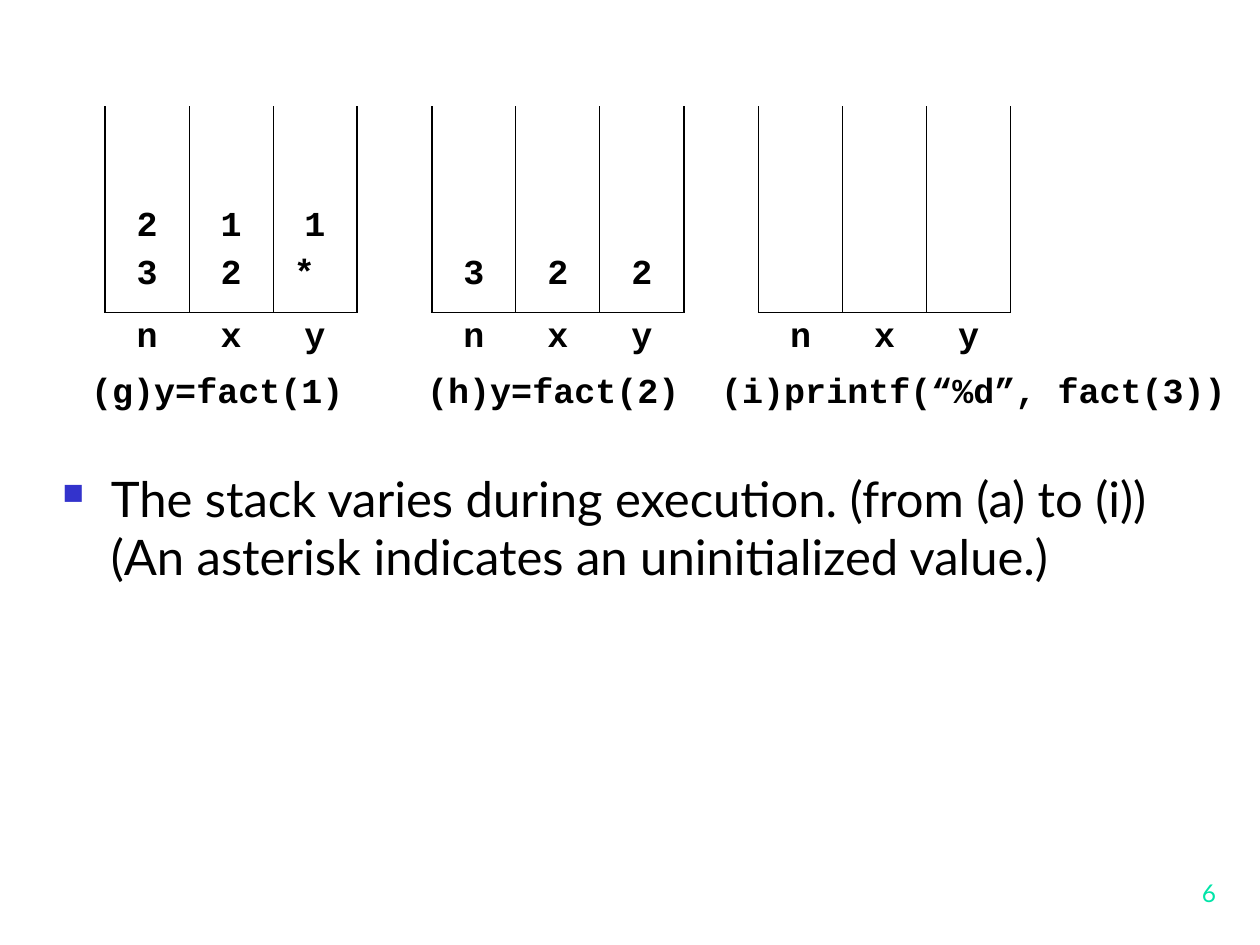
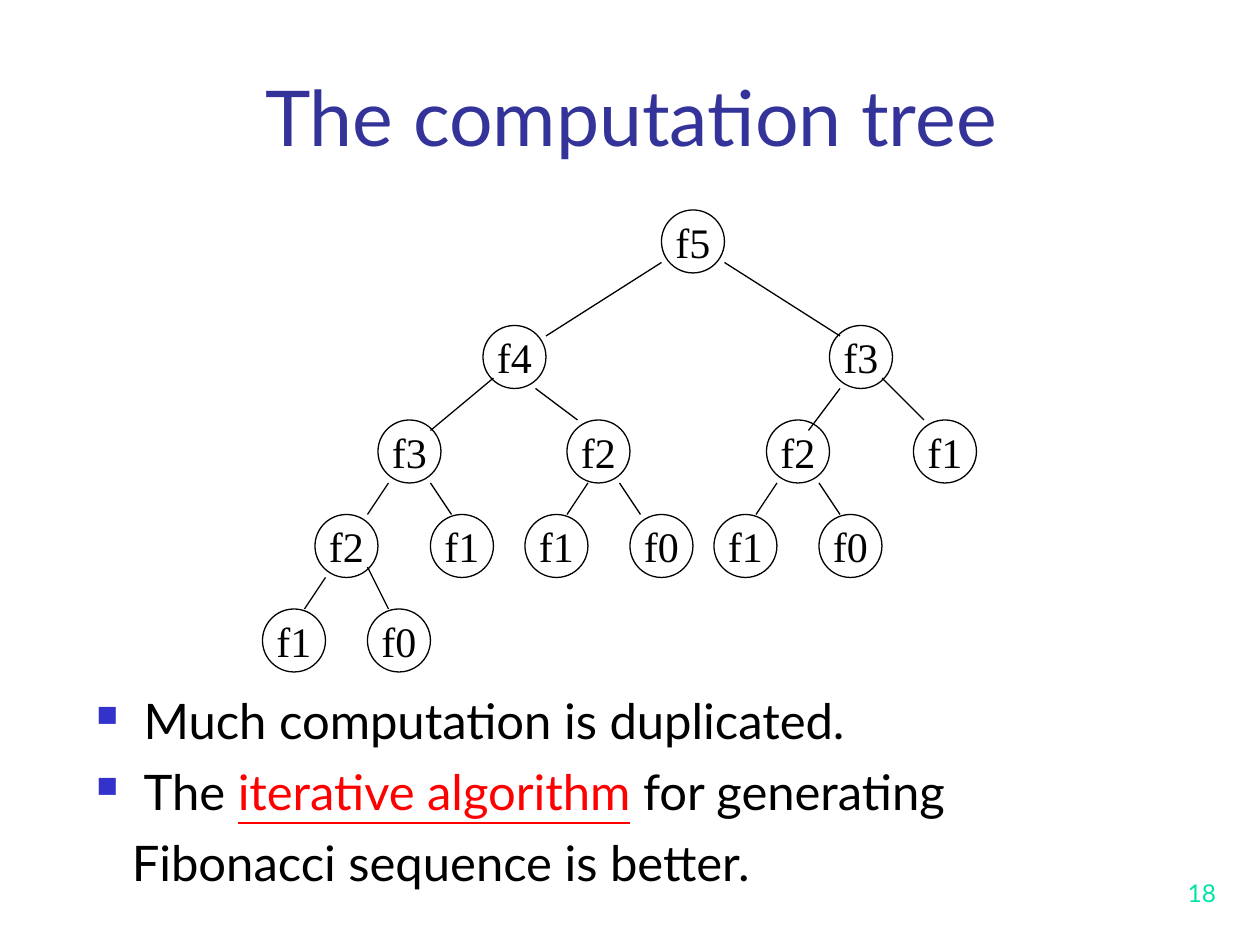
from dataclasses import dataclass

from lxml import etree
from pptx import Presentation
from pptx.dml.color import RGBColor
from pptx.enum.shapes import MSO_CONNECTOR, MSO_SHAPE
from pptx.enum.text import MSO_ANCHOR, PP_ALIGN
from pptx.oxml.ns import qn
from pptx.util import Emu, Pt

PX = 9525
LINE = MSO_CONNECTOR.STRAIGHT
ELLIPSE = MSO_SHAPE.OVAL
TOP, MIDDLE, BOTTOM = MSO_ANCHOR.TOP, MSO_ANCHOR.MIDDLE, MSO_ANCHOR.BOTTOM
LEFT, CENTER, RIGHT = PP_ALIGN.LEFT, PP_ALIGN.CENTER, PP_ALIGN.RIGHT


@dataclass(frozen=True)
class Style:
    """Font, size, colour and emphasis of a piece of text."""
    font: str
    size: int
    color: str
    bold: bool = False
    underline: bool = False


@dataclass(frozen=True)
class Theme:
    """Colours, type and line widths shared by the slides."""
    ink: str = "000000"
    bullet: str = "3333CC"
    title: Style = Style("Lato", 44, "333399")
    body: Style = Style("Lato", 28, "000000")
    accent: Style = Style("Lato", 28, "FF0000", underline=True)
    code: Style = Style("Courier New", 20, "000000", bold=True)
    node: Style = Style("Times New Roman", 24, "000000")
    number: Style = Style("Lato", 14, "00E4A8")
    thin: float = 0.45
    thick: float = 1.08
    edge: float = 0.75


THEME = Theme()

STACK_ORIGIN = (80, 81)
STACK_PITCH = 249
STACK_COLUMN = 64
STACK_ROWS = (157, 42)
STACK_NAMES = ("n", "x", "y")
STACKS = (
    ("2\n3", "1\n2", "1\n* "),
    ("3", "2", "2"),
    ("", "", ""),
)
CALLS = ("(g)y=fact(1)", "(h)y=fact(2)", "(i)printf(“%d”, fact(3))")
CALL_STOPS = (256, 480)

GRID = 8
NODE_SIZE = 6
TREE_LEVELS = (
    (0, {38: "f5"}),
    (11, {21: "f4", 54: "f3"}),
    (20, {11: "f3", 29: "f2", 48: "f2", 62: "f1"}),
    (29, {5: "f2", 16: "f1", 25: "f1", 35: "f0", 43: "f1", 53: "f0"}),
    (38, {0: "f1", 10: "f0"}),
)
TREE_EDGES = (
    (38, 5, 27, 12), (44, 5, 55, 12),
    (22, 16, 16, 21), (26, 17, 30, 20),
    (55, 17, 52, 21), (59, 16, 63, 20),
    (12, 26, 10, 29), (16, 26, 18, 29),
    (31, 26, 29, 29), (34, 26, 36, 29),
    (49, 26, 47, 29), (53, 26, 55, 29),
    (6, 35, 4, 38), (10, 34, 12, 38),
)


def px(*lengths):
    """Turn px lengths into EMU."""
    return [Emu(length * PX) for length in lengths]


def style_span(span, style):
    """Format one run."""
    font = span.font
    font.name, font.size = style.font, Pt(style.size)
    font.bold, font.underline = style.bold, style.underline
    font.color.rgb = RGBColor.from_string(style.color)


def style_para(para, style, align=LEFT, before=0):
    """Format a paragraph and all its runs."""
    para.alignment, para.space_before = align, Pt(before)
    for span in para.runs:
        style_span(span, style)


def add_text(page, box, text, style, align=LEFT, anchor=TOP):
    """Add a wrapping text box and return its frame."""
    frame = page.shapes.add_textbox(*px(*box)).text_frame
    frame.word_wrap, frame.vertical_anchor = True, anchor
    frame.text = text
    for para in frame.paragraphs:
        style_para(para, style, align)
    return frame


def indent_para(para, margin, bulleted):
    """Indent a paragraph, with a hanging square bullet if asked."""
    props = para._p.get_or_add_pPr()
    props.set("marL", str(margin * PX))
    props.set("indent", str(-margin * PX if bulleted else 0))
    if bulleted:
        color = etree.SubElement(props, qn("a:buClr"))
        etree.SubElement(color, qn("a:srgbClr"), val=THEME.bullet)
        etree.SubElement(props, qn("a:buSzPct"), val="60000")
        etree.SubElement(props, qn("a:buChar"), char="■")


def add_tab_stops(para, stops):
    """Give a paragraph left tab stops."""
    tabs = etree.SubElement(para._p.get_or_add_pPr(), qn("a:tabLst"))
    for stop in stops:
        etree.SubElement(tabs, qn("a:tab"), pos=str(stop * PX), algn="l")


def add_page_number(page, number):
    """Add the page number at the lower right."""
    add_text(page, (736, 648, 200, 48), number, THEME.number, RIGHT, BOTTOM)


def set_borders(cell, **widths):
    """Draw the named cell borders and clear the others."""
    props = cell._tc.get_or_add_tcPr()
    for side in "LRTB":
        line = etree.SubElement(props, qn(f"a:ln{side}"))
        if side in widths:
            line.set("w", str(Pt(widths[side])))
            fill = etree.SubElement(line, qn("a:solidFill"))
            etree.SubElement(fill, qn("a:srgbClr"), val=THEME.ink)
        else:
            etree.SubElement(line, qn("a:noFill"))
    cell.fill.background()


def fill_cell(cell, text):
    """Write centred code text in a cell."""
    cell.text = text
    for para in cell.text_frame.paragraphs:
        style_para(para, THEME.code, CENTER, 5)
        para.font.size = Pt(THEME.code.size)


def add_stack(page, left, top, values):
    """Add one open-topped stack with its variable names."""
    width, height = STACK_COLUMN * len(STACK_NAMES), sum(STACK_ROWS)
    frame = page.shapes.add_table(2, len(STACK_NAMES), *px(left, top, width, height))
    table = frame.table
    table.first_row = table.horz_banding = False
    for row, length in zip(table.rows, STACK_ROWS):
        row.height = Emu(length * PX)
    last = len(STACK_NAMES) - 1
    for index, (value, name) in enumerate(zip(values, STACK_NAMES)):
        table.columns[index].width = Emu(STACK_COLUMN * PX)
        content, label = table.cell(0, index), table.cell(1, index)
        fill_cell(content, value)
        fill_cell(label, name)
        content.vertical_anchor = BOTTOM
        content.margin_bottom = Emu(13 * PX)
        set_borders(content, B=THEME.thin,
                    L=THEME.thick if index == 0 else THEME.thin,
                    R=THEME.thick if index == last else THEME.thin)
        set_borders(label, T=THEME.thin)


def add_node(page, left, top, label):
    """Add one circle of the tree."""
    size = NODE_SIZE * GRID
    node = page.shapes.add_shape(ELLIPSE, *px(left, top, size, size))
    node.shadow.inherit = False
    node.fill.background()
    node.line.color.rgb = RGBColor.from_string(THEME.ink)
    node.line.width = Pt(THEME.edge)
    frame = node.text_frame
    frame.word_wrap, frame.vertical_anchor = False, MIDDLE
    frame.text = label
    style_para(frame.paragraphs[0], THEME.node, CENTER)


def add_edge(page, ends):
    """Add one plain line of the tree."""
    edge = page.shapes.add_connector(LINE, *px(*ends))
    edge.line.color.rgb = RGBColor.from_string(THEME.ink)
    edge.line.width = Pt(THEME.edge)
    etree.SubElement(edge._element.spPr, qn("a:effectLst"))


def add_tree(page, left, top):
    """Add the tree of calls from its upper left corner."""
    for row, nodes in TREE_LEVELS:
        for column, label in nodes.items():
            add_node(page, left + column * GRID, top + row * GRID, label)
    for x1, y1, x2, y2 in TREE_EDGES:
        add_edge(page, (left + x1 * GRID, top + y1 * GRID,
                        left + x2 * GRID, top + y2 * GRID))


def build_stack_slide(page):
    """Build the slide on the stack during execution."""
    left, top = STACK_ORIGIN
    for index, values in enumerate(STACKS):
        add_stack(page, left + index * STACK_PITCH, top, values)
    calls = add_text(page, (60, 276, 900, 42), "\t".join(CALLS), THEME.code)
    add_tab_stops(calls.paragraphs[0], CALL_STOPS)
    notes = add_text(page, (38, 352, 897, 144),
                     "The stack varies during execution. (from (a) to (i))\n"
                     "(An asterisk indicates an uninitialized value.)", THEME.body)
    for para, bulleted in zip(notes.paragraphs, (True, False)):
        indent_para(para, 37, bulleted)
    add_page_number(page, "6")


def build_tree_slide(page):
    """Build the slide on the computation tree."""
    add_text(page, (72, 32, 818, 96), "The computation tree", THEME.title, CENTER, BOTTOM)
    points = add_text(page, (64, 521, 821, 199),
                      "Much computation is duplicated.\n"
                      "The \n"
                      "Fibonacci sequence is better.", THEME.body)
    duplicated, iterative, ending = points.paragraphs
    for text, style in (("iterative algorithm", THEME.accent),
                        (" for generating", THEME.body)):
        span = iterative.add_run()
        span.text = text
        style_span(span, style)
    for para in points.paragraphs:
        para.space_before = Pt(7)
    indent_para(duplicated, 36, True)
    indent_para(iterative, 36, True)
    indent_para(ending, 27, False)
    add_tree(page, 200, 160)
    add_page_number(page, "18")


def main():
    """Build and save the deck."""
    deck = Presentation()
    deck.slide_width, deck.slide_height = px(960, 720)
    for build in (build_stack_slide, build_tree_slide):
        build(deck.slides.add_slide(deck.slide_layouts[6]))
    deck.save("out.pptx")


if __name__ == "__main__":
    main()
